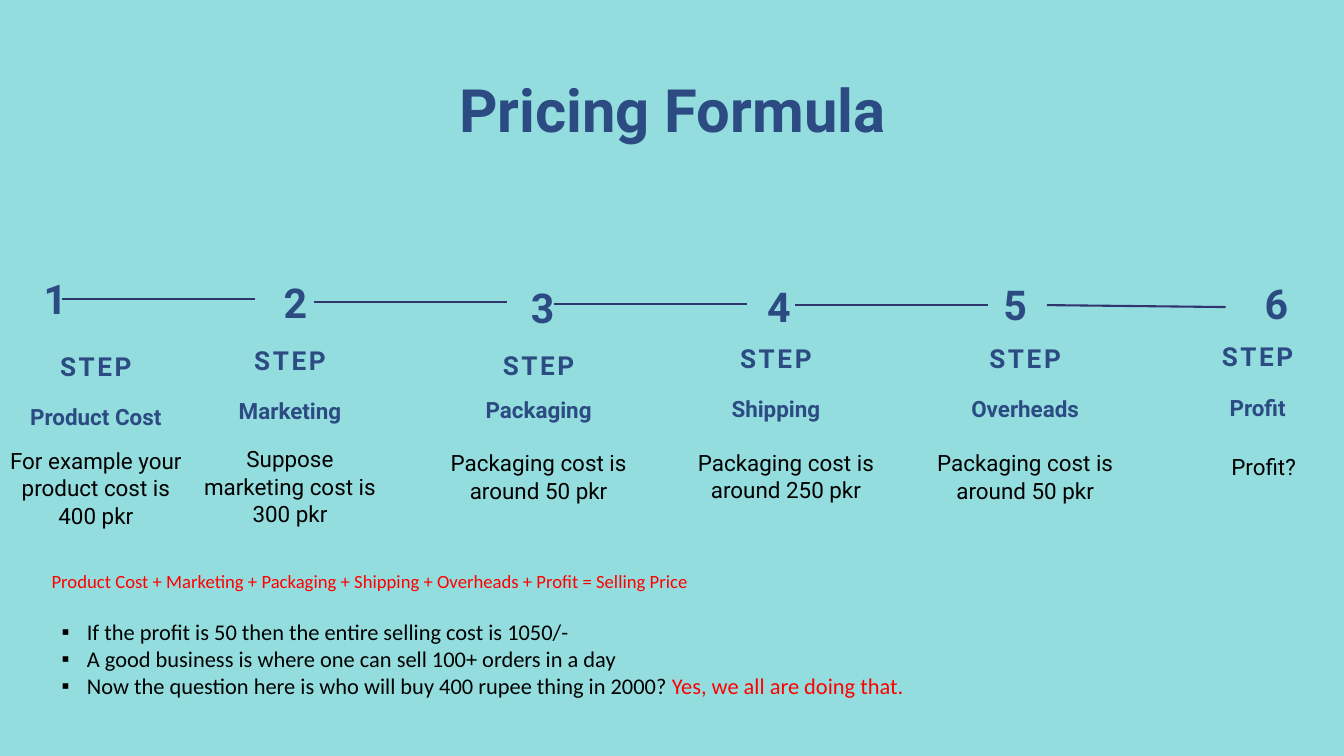
from collections import namedtuple
from dataclasses import dataclass

from lxml.etree import SubElement
from pptx import Presentation
from pptx.dml.color import RGBColor
from pptx.enum.shapes import MSO_CONNECTOR
from pptx.enum.text import MSO_ANCHOR, PP_ALIGN
from pptx.oxml.ns import qn
from pptx.util import Pt


@dataclass(frozen=True)
class Theme:
    background: str = "94DDDE"
    navy: str = "2B4B82"
    rule: str = "31356E"
    black: str = "000000"
    red: str = "FF0000"
    heading_font: str = "Roboto"
    note_font: str = "Calibri"
    title: int = 64
    number: int = 44
    step: int = 28
    body: int = 24
    formula: int = 20


THEME = Theme()
Step = namedtuple("Step", "number_box left width step_top label_top label body_left body_top body_height body")

STEPS = [
    Step((23.8, 277.2, 71.3, 76.3), 5.8, 193.7, 369.4, 427, "Product Cost",
         5.8, 478.1, 89.3, "For example your product cost is 400 pkr"),
    Step((282.2, 280.8, 68.4, 76.3), 216, 189.4, 362.9, 421.2, "Marketing",
         213.8, 476.6, 118.8, "Suppose marketing cost is 300 pkr"),
    Step((568.8, 294.5, 24.5, 60.5), 480.2, 193.7, 368.6, 419.8, "Packaging",
         480.2, 481, 59, "Packaging cost is around 50 pkr"),
    Step((812.9, 292.3, 43.2, 63.4), 725.8, 211, 360.7, 418.3, "Shipping",
         745.2, 480.2, 59, "Packaging cost is around 250 pkr"),
    Step((1051.9, 283.7, 71.3, 76.3), 987.1, 222.5, 360.7, 418.3, "Overheads",
         1001.5, 481, 59, "Packaging cost is around 50 pkr"),
    Step((1332, 282.2, 71.3, 76.3), 1236.2, 222.5, 359.3, 417.6, "Profit",
         1257, 485.3, 29.5, "Profit?"),
]
BODY_WIDTH = 193.7

RULES = [
    (66.2, 320.4, 272.9, 320.4),
    (336.2, 323.3, 542.9, 323.3),
    (594, 326.2, 800.6, 326.2),
    (851.8, 326.9, 1058.4, 326.9),
    (1121.8, 326.9, 1313.3, 329),
]

FORMULA = "Product Cost + Marketing + Packaging + Shipping + Overheads + Profit = Selling Price"
NOTES = [
    [("If the profit is 50 then the entire selling cost is 1050/-", THEME.black)],
    [("A good business is where one can sell 100+ orders in a day", THEME.black)],
    [("Now the question here is who will buy 400 rupee thing in 2000? ", THEME.black),
     ("Yes, we all are doing that.", THEME.red)],
]


def place(sp, box):
    sp.left, sp.top, sp.width, sp.height = map(Pt, box)


def style_run(r, font, size, color, bold=False, tracking=0):
    r.font.name = font
    r.font.size = Pt(size)
    r.font.bold = bold
    r.font.color.rgb = RGBColor.from_string(color)
    if tracking:
        r._r.get_or_add_rPr().set("spc", str(int(tracking * 100)))


def format_heading(sp, text, size, leading, color=THEME.navy, bold=True,
                   tracking=0, anchor=MSO_ANCHOR.TOP):
    tf = sp.text_frame
    tf.word_wrap = True
    tf.vertical_anchor = anchor
    tf.margin_left = tf.margin_right = tf.margin_top = tf.margin_bottom = 0
    tf.text = text
    p = tf.paragraphs[0]
    p.alignment = PP_ALIGN.CENTER
    p.line_spacing = Pt(leading)
    style_run(p.runs[0], THEME.heading_font, size, color, bold, tracking)


def add_heading(s, box, text, size, leading, **options):
    format_heading(s.shapes.add_textbox(*map(Pt, box)), text, size, leading, **options)


def add_rule(s, ends):
    line = s.shapes.add_connector(MSO_CONNECTOR.STRAIGHT, *map(Pt, ends))
    line.line.color.rgb = RGBColor.from_string(THEME.rule)
    line.line.width = Pt(2.25)
    SubElement(line._element.spPr, qn("a:effectLst"))


def add_step(s, number, step):
    add_heading(s, step.number_box, str(number), THEME.number, 61.6,
                tracking=7.5, anchor=MSO_ANCHOR.MIDDLE)
    add_heading(s, (step.left, step.step_top, step.width, 36.7), "STEP",
                THEME.step, 39.2, tracking=2.8)
    add_heading(s, (step.left, step.label_top, step.width, 33.8), step.label,
                THEME.body, 33.6)
    add_heading(s, (step.body_left, step.body_top, BODY_WIDTH, step.body_height),
                step.body, THEME.body, 29.4, color=THEME.black, bold=False)


def add_bullet(p):
    pPr = p._p.get_or_add_pPr()
    pPr.set("marL", str(Pt(27)))
    pPr.set("indent", str(-Pt(27)))
    SubElement(pPr, qn("a:buFont"), typeface="Arial")
    SubElement(pPr, qn("a:buChar"), char="▪")


def add_notes(s, box, paragraphs, size, bulleted=False):
    tf = s.shapes.add_textbox(*map(Pt, box)).text_frame
    tf.word_wrap = True
    for i, parts in enumerate(paragraphs):
        p = tf.add_paragraph() if i else tf.paragraphs[0]
        if bulleted:
            add_bullet(p)
        for text, color in parts:
            r = p.add_run()
            r.text = text
            style_run(r, THEME.note_font, size, color)


def main():
    prs = Presentation()
    prs.slide_width, prs.slide_height = Pt(1440), Pt(810)
    s = prs.slides.add_slide(prs.slide_layouts[5])
    fill = s.background.fill
    fill.solid()
    fill.fore_color.rgb = RGBColor.from_string(THEME.background)

    title = s.shapes.title
    place(title, (85, 87.8, 1270.8, 67.7))
    format_heading(title, "Pricing Formula", THEME.title, 67.2)

    for ends in RULES:
        add_rule(s, ends)
    for number, step in enumerate(STEPS, 1):
        add_step(s, number, step)

    add_notes(s, (48.2, 607, 1342.8, 31.7), [[(FORMULA, THEME.red)]], THEME.formula)
    add_notes(s, (59, 658.8, 1284.5, 94.3), NOTES, THEME.body, bulleted=True)
    prs.save("out.pptx")


if __name__ == "__main__":
    main()
